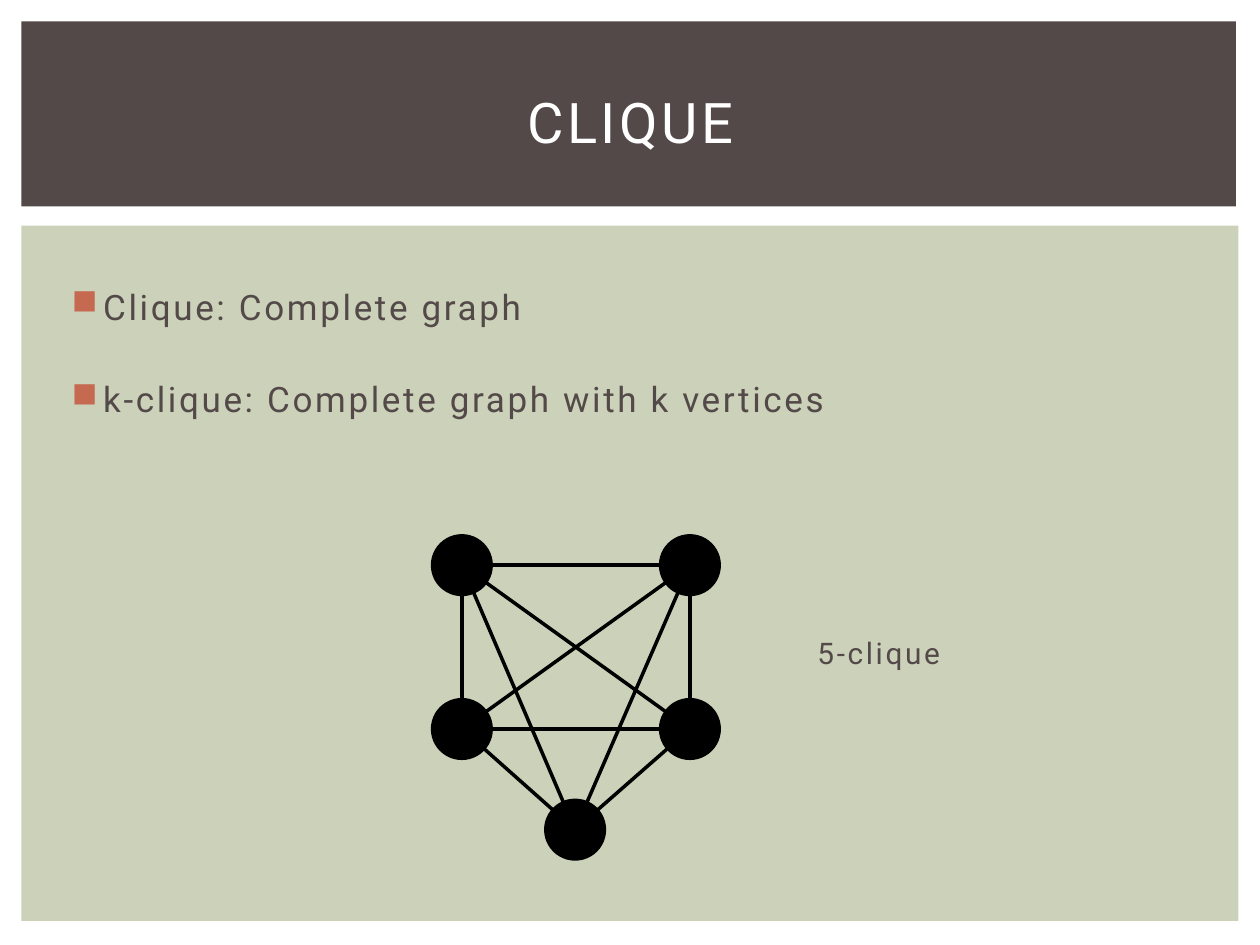
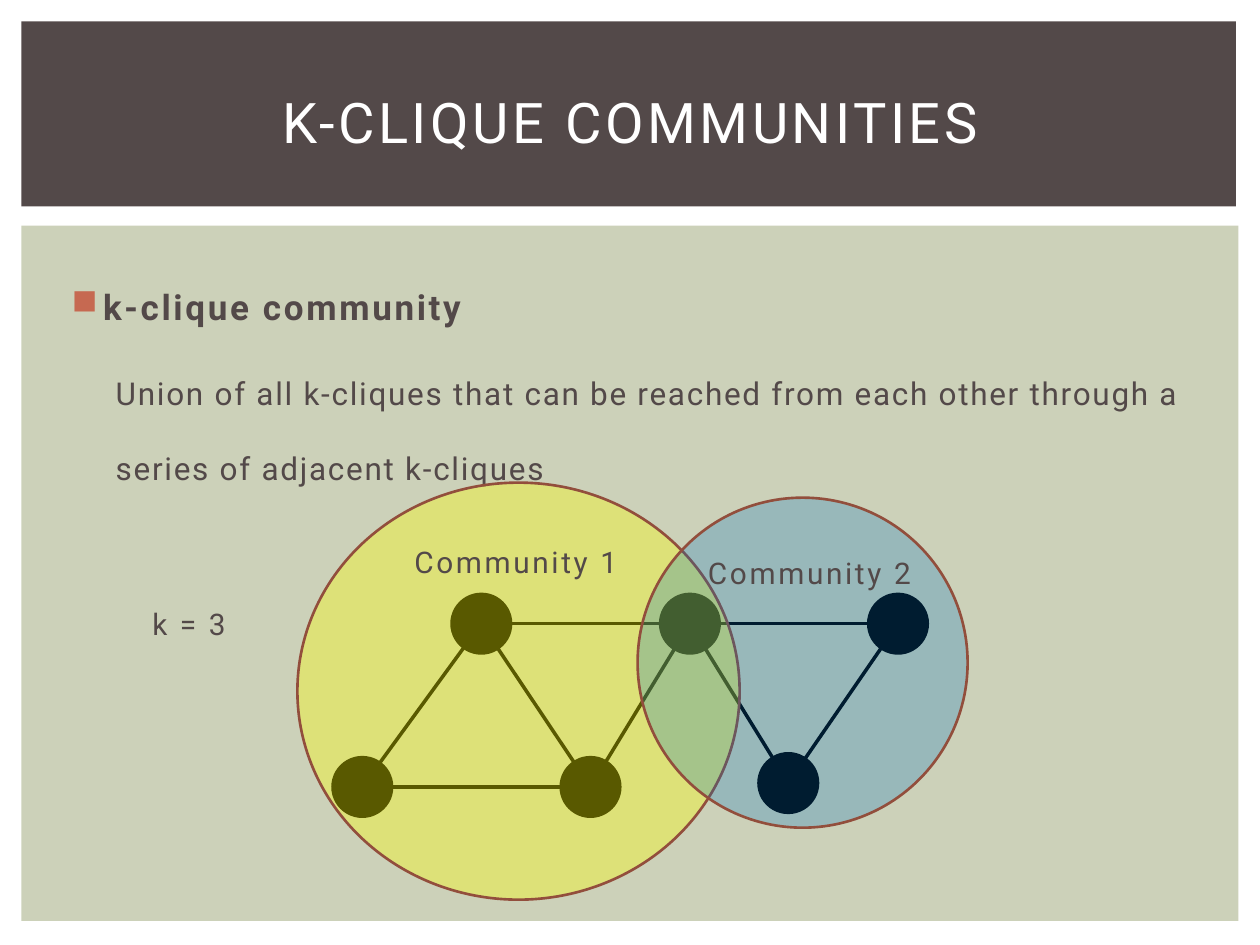
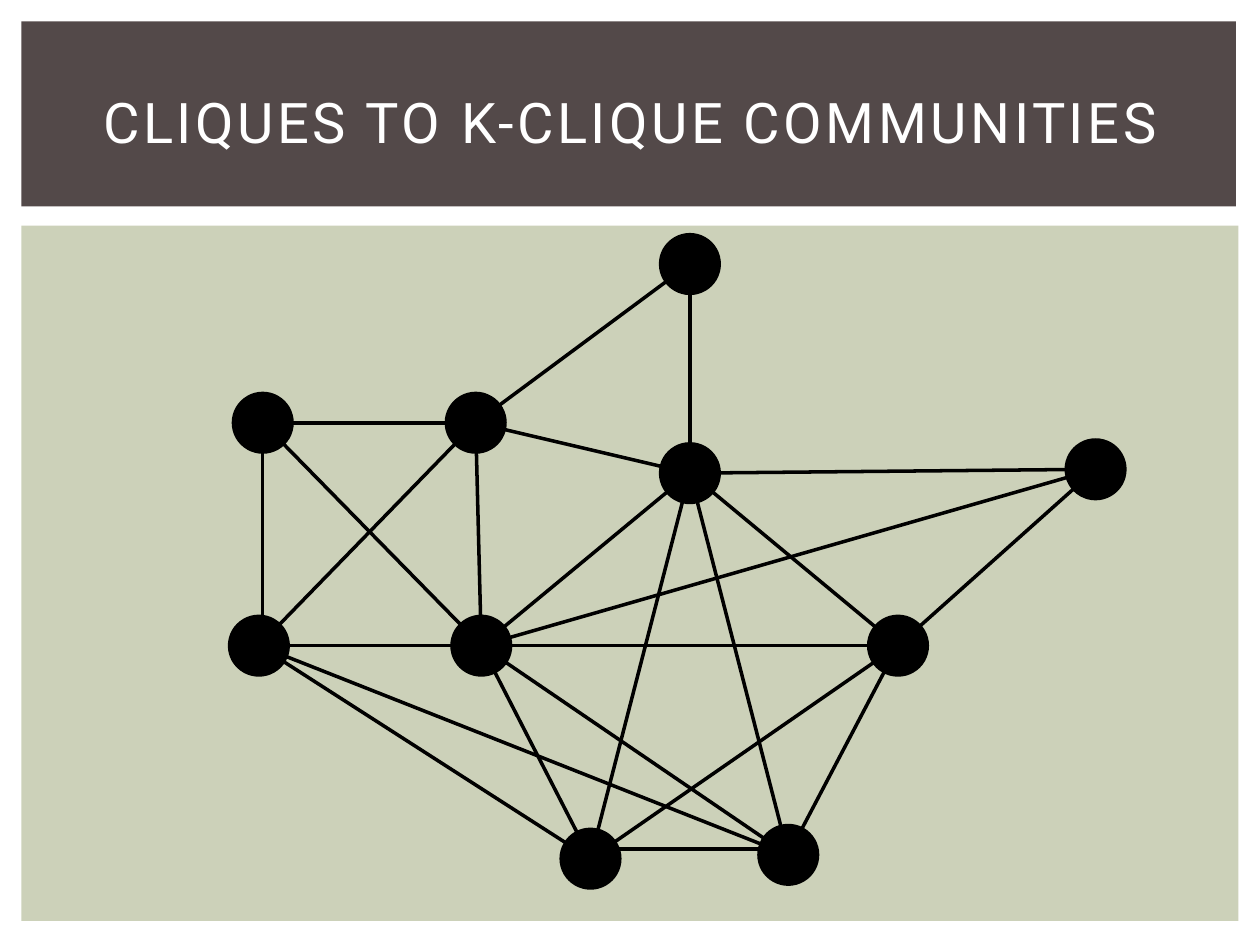
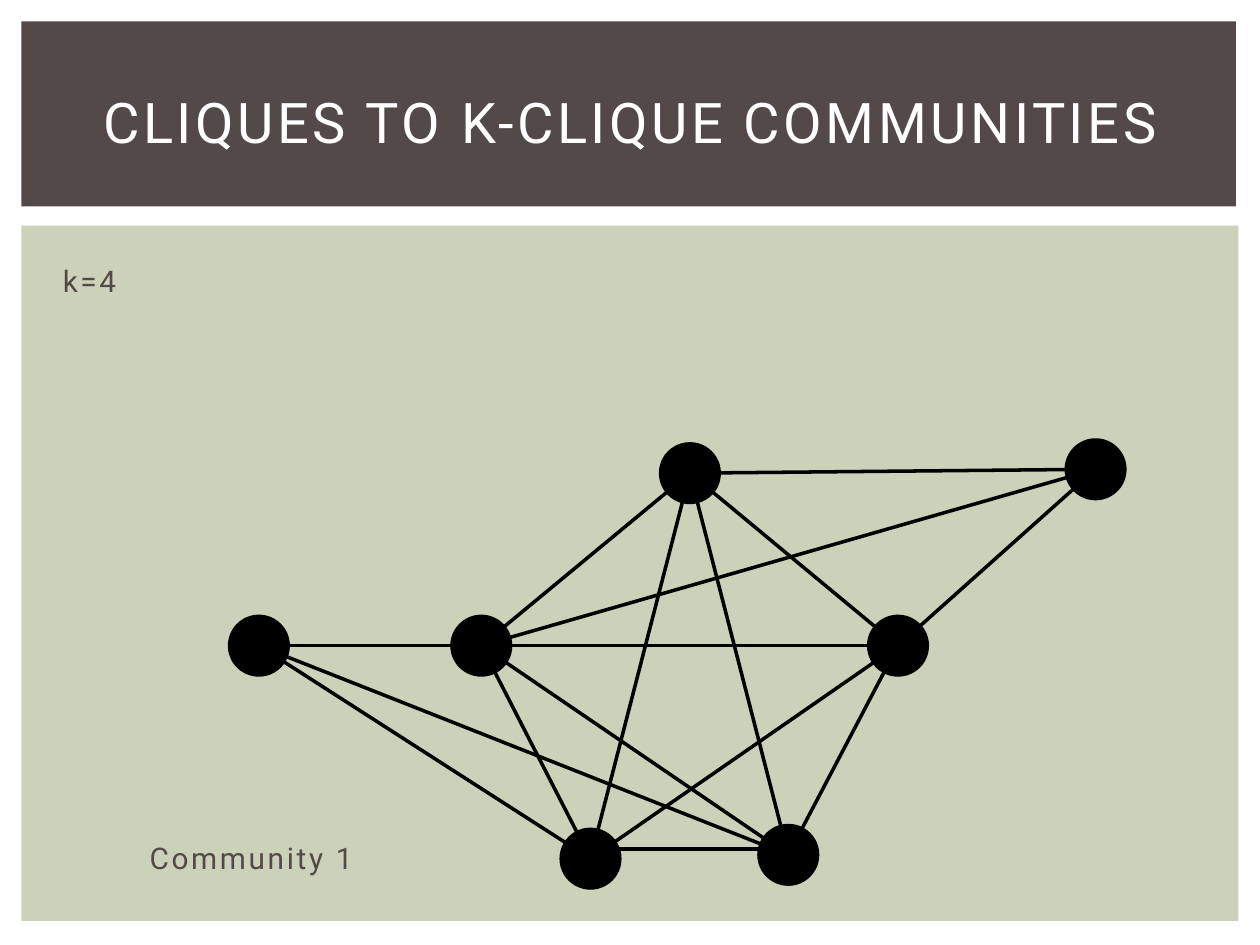
import collections

import lxml.etree
import pptx
import pptx.dml.color
import pptx.enum.shapes
import pptx.enum.text
import pptx.oxml
import pptx.oxml.ns
import pptx.util

Box = collections.namedtuple("Box", "left top width height")

COLOURS = {
    "band": "534949",
    "panel": "CCD1B9",
    "text": "534949",
    "title": "FFFFFF",
    "bullet": "C66951",
    "graph": "000000",
    "outline": "924E3C",
    "first": "FFFF00",
    "second": "0070C0",
}
BAND = Box(12.24, 12.24, 694.1, 105.8)
PANEL = Box(12.24, 128.88, 695.5, 397.4)
NODE = 34

TITLE = {"size": 32, "colour": "title", "spacing": 2}
POINT = {"size": 20, "colour": "text", "spacing": 1.5}
TERM = {**POINT, "bold": True}
DETAIL = {"size": 18, "colour": "text", "spacing": 1}
LABEL = {"size": 17, "colour": "text", "spacing": 1.5}

CLIQUE_NODES = {
    "top left": (251.7, 194.1),
    "top right": (382, 194.1),
    "middle left": (251.7, 287.7),
    "middle right": (382, 287.7),
    "bottom": (316.4, 345.2),
}
CLIQUE_EDGES = [
    (start, end)
    for index, start in enumerate(CLIQUE_NODES)
    for end in list(CLIQUE_NODES)[index + 1:]
]

COMMUNITY_NODES = {
    "upper": (262.8, 227.5),
    "shared": (382, 227.5),
    "right": (500.9, 227.5),
    "lower left": (194.8, 320.8),
    "lower middle": (325.2, 320.8),
    "lower right": (438.2, 318.6),
}
COMMUNITY_EDGES = [
    ("upper", "lower left"),
    ("upper", "lower middle"),
    ("lower middle", "lower left"),
    ("shared", "lower right"),
    ("shared", "right"),
    ("right", "lower right"),
    ("shared", "lower middle"),
    ("upper", "shared"),
]

NETWORK_NODES = {
    "centre": (262.8, 240.1),
    "hub": (382, 141.5),
    "low left": (325.2, 361.8),
    "low right": (438.2, 359.6),
    "right": (500.9, 240.1),
    "far right": (613.8, 139.3),
    "top": (382, 22),
    "upper middle": (259.6, 112.7),
    "upper left": (137.9, 112.7),
    "left": (135.7, 240.1),
}
NETWORK_ANCHORS = {
    "base left": (325.2, 356.4),
    "base right": (438.2, 356.4),
    "left post": (137.9, 240.1),
}
NETWORK_EDGES = [
    ("hub", "centre"),
    ("centre", "low left"),
    ("base left", "base right"),
    ("centre", "right"),
    ("hub", "low left"),
    ("hub", "low right"),
    ("right", "low right"),
    ("centre", "low right"),
    ("right", "hub"),
    ("right", "low left"),
    ("far right", "right"),
    ("far right", "hub"),
    ("centre", "far right"),
    ("top", "hub"),
    ("top", "upper middle"),
    ("centre", "upper middle"),
    ("hub", "upper middle"),
    ("centre", "left"),
    ("centre", "upper left"),
    ("upper middle", "upper left"),
    ("left post", "upper left"),
    ("upper middle", "left"),
    ("low left", "left"),
    ("low right", "left"),
]
OUTSIDE = {"top", "upper middle", "upper left"}


def colour(name):
    return pptx.dml.color.RGBColor.from_string(COLOURS[name])


def inside(box, left, top, width, height):
    return Box(box.left + left, box.top + top, width, height)


def points(values):
    return [pptx.util.Pt(value) for value in values]


def add_child(parent, tag, **attributes):
    child = lxml.etree.SubElement(parent, pptx.oxml.ns.qn(tag))
    for name, value in attributes.items():
        child.set(name, value)
    return child


def add_figure(page, kind, box, fill, line=None, opacity=None):
    shape = page.shapes.add_shape(
        getattr(pptx.enum.shapes.MSO_SHAPE, kind), *points(box))
    shape.shadow.inherit = False
    shape.fill.solid()
    shape.fill.fore_color.rgb = colour(fill)
    if opacity is not None:
        for tint in shape.fill._xPr.iter(pptx.oxml.ns.qn("a:srgbClr")):
            add_child(tint, "a:alpha", val=str(opacity * 1000))
    if line:
        shape.line.color.rgb = colour(line)
        shape.line.width = pptx.util.Pt(1.5)
    else:
        shape.line.fill.background()


def add_text(page, box, anchor="TOP"):
    frame = page.shapes.add_textbox(*points(box)).text_frame
    frame.word_wrap = True
    frame.vertical_anchor = getattr(pptx.enum.text.MSO_ANCHOR, anchor)
    return frame


def write(para, text, style, margin=0, indent=0, bullet=False, **layout):
    properties = para._p.get_or_add_pPr()
    properties.set("marL", str(pptx.util.Pt(margin)))
    properties.set("indent", str(pptx.util.Pt(indent)))
    for name, value in layout.items():
        setattr(para, name, value)
    if bullet:
        tint = add_child(properties, "a:buClr")
        add_child(tint, "a:srgbClr", val=COLOURS["bullet"])
        add_child(properties, "a:buChar", char="■")
    span = para.add_run()
    span.text = text
    font = {
        "name": "Roboto",
        "size": pptx.util.Pt(style["size"]),
        "bold": style.get("bold", False),
    }
    for name, value in font.items():
        setattr(span.font, name, value)
    span.font.color.rgb = colour(style["colour"])
    span._r.get_or_add_rPr().set("spc", str(int(style["spacing"] * 100)))


def add_header(page, box, title):
    add_figure(page, "RECTANGLE", box, "band")
    frame = add_text(page, inside(box, 18, 15.8, 660.2, 82.8), "MIDDLE")
    write(frame.paragraphs[0], title, TITLE,
          alignment=pptx.enum.text.PP_ALIGN.CENTER)


def add_body(page, box, items):
    frame = add_text(page, inside(box, 18, 6.5, 661.7, 347))
    for index, (text, style) in enumerate(items):
        para = frame.add_paragraph() if index else frame.paragraphs[0]
        layout = {"line_spacing": 2.0,
                  "space_before": pptx.util.Pt(5 if index else 0)}
        if style is DETAIL:
            layout["margin"] = 28.8
        else:
            layout.update(margin=21.6, indent=-18, bullet=True)
        write(para, text, style, **layout)


def add_label(page, box, text, *place):
    frame = add_text(page, inside(box, *place))
    write(frame.paragraphs[0], text, LABEL, margin=3.6, line_spacing=1.9)


def add_graph(page, box, nodes, edges, anchors=None):
    places = {**nodes, **(anchors or {})}
    for edge in edges:
        ends = [value + shift for name in edge
                for value, shift in zip(places[name], (box.left, box.top))]
        line = page.shapes.add_connector(
            pptx.enum.shapes.MSO_CONNECTOR.STRAIGHT, *points(ends))
        line.line.color.rgb = colour("graph")
        line.line.width = pptx.util.Pt(2)
        add_child(line._element.spPr, "a:effectLst")
    for x, y in nodes.values():
        circle = inside(box, x - NODE / 2, y - NODE / 2, NODE, NODE)
        add_figure(page, "OVAL", circle, "graph", "graph")


def add_community(page, box, place, fill, opacity):
    add_figure(page, "OVAL", inside(box, *place), fill, "outline", opacity)


def add_page(deck, title):
    page = deck.slides.add_slide(deck.slide_layouts[6])
    add_figure(page, "RECTANGLE", PANEL, "panel")
    add_header(page, BAND, title)
    return page


def clique_page(deck, box):
    page = add_page(deck, "CLIQUE")
    add_body(page, box, [
        ("Clique: Complete graph", POINT),
        ("k-clique: Complete graph with k vertices", POINT),
    ])
    add_graph(page, box, CLIQUE_NODES, CLIQUE_EDGES)
    add_label(page, box, "5-clique", 444.2, 211.7, 102.2, 47.5)


def communities_page(deck, box):
    page = add_page(deck, "K-CLIQUE COMMUNITIES")
    add_body(page, box, [
        ("k-clique community", TERM),
        ("Union of all k-cliques that can be reached from each other "
         "through a series of adjacent k-cliques", DETAIL),
    ])
    add_label(page, box, "k = 3", 64.1, 195.1, 102.2, 47.5)
    add_graph(page, box, COMMUNITY_NODES, COMMUNITY_EDGES)
    add_community(page, box, (157.7, 146.9, 252.7, 238.3), "first", 35)
    add_label(page, box, "Community 1", 213.8, 159.8, 140.4, 65.5)
    add_community(page, box, (352.1, 155.5, 188.6, 188.6), "second", 25)
    add_label(page, box, "Community 2", 381.6, 166.3, 136.1, 76.3)


def network_page(deck, box, dropped=frozenset()):
    page = add_page(deck, "CLIQUES TO K-CLIQUE COMMUNITIES")
    nodes = {name: place for name, place in NETWORK_NODES.items()
             if name not in dropped}
    edges = [edge for edge in NETWORK_EDGES if not dropped & set(edge)]
    add_graph(page, box, nodes, edges, NETWORK_ANCHORS)
    return page


def first_community_page(deck, box):
    page = network_page(deck, box, OUTSIDE)
    add_label(page, box, "k=4", 13, -0.7, 67.7, 47.5)
    add_label(page, box, "Community 1", 62.6, 329, 252, 47.5)


def main():
    deck = pptx.Presentation()
    deck.slide_width, deck.slide_height = points((720, 540))
    clique_page(deck, PANEL)
    communities_page(deck, PANEL)
    network_page(deck, PANEL)
    first_community_page(deck, PANEL)
    deck.save("out.pptx")


if __name__ == "__main__":
    main()
